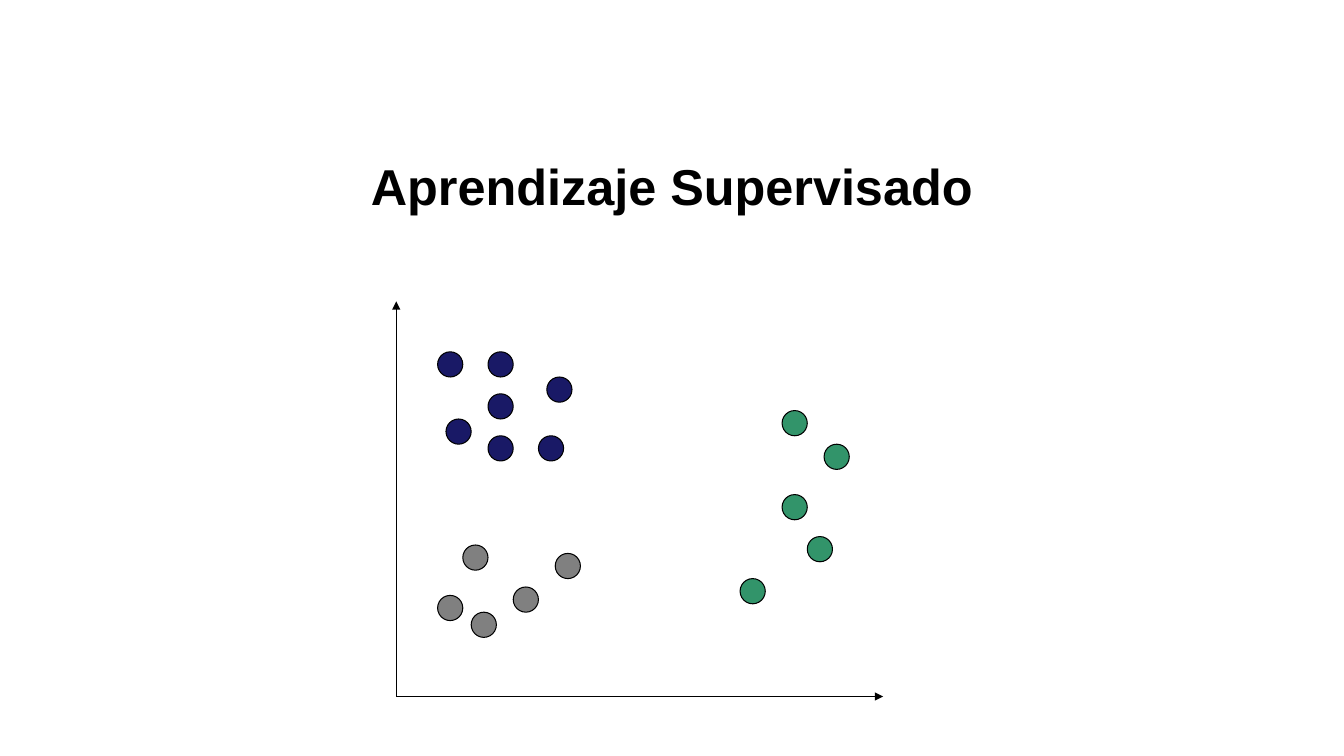
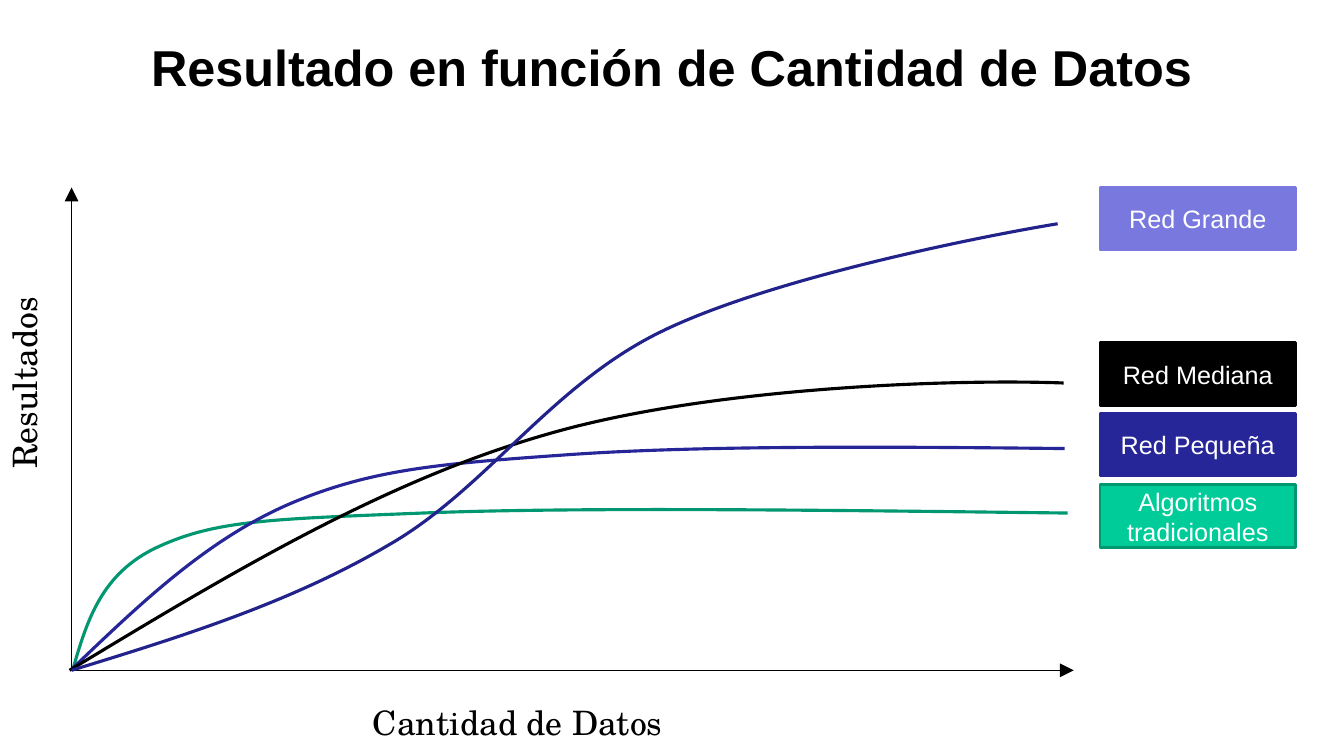
"""Builds two slides on supervised learning and on results by amount of data."""
from lxml.etree import SubElement
from pptx import Presentation
from pptx.dml.color import RGBColor
from pptx.enum.shapes import MSO_CONNECTOR as Connector, MSO_SHAPE as Shape
from pptx.enum.text import MSO_ANCHOR as Anchor, MSO_AUTO_SIZE as AutoSize, PP_ALIGN as Align
from pptx.oxml.ns import qn
from pptx.util import Inches, Pt

BLACK = RGBColor(0x00, 0x00, 0x00)
WHITE = RGBColor(0xFF, 0xFF, 0xFF)
GRAY = RGBColor(0x80, 0x80, 0x80)
GREEN = RGBColor(0x32, 0x94, 0x6A)
NAVY = RGBColor(0x19, 0x19, 0x66)
TEAL = RGBColor(0x00, 0x97, 0x71)
MINT = RGBColor(0x00, 0xCC, 0x99)
INDIGO = RGBColor(0x26, 0x26, 0x99)
DEEP_BLUE = RGBColor(0x22, 0x22, 0x8B)
LILAC = RGBColor(0x78, 0x78, 0xDE)

SANS, SERIF = "Arial", "TeX Gyre Schola"
WIDTH, HEIGHT = 13.33, 7.5
TITLE_HEIGHT = 1.33
BAND_OPACITY = 30

DOT_SIZE, DOT_STEP = 0.25, 1 / 12
DOT_LEFT, DOT_TOP = 4.34, 3.49
CLUSTERS = [
    (GRAY, [(0, 29), (9, 28), (3, 23), (4, 31), (14, 24)]),
    (GREEN, [(36, 27), (44, 22), (41, 17), (46, 11), (41, 7)]),
    (NAVY, [(6, 5), (0, 0), (1, 8), (13, 3), (6, 10), (12, 10), (6, 0)]),
]

LABEL_LEFT, LABEL_WIDTH, LABEL_HEIGHT = 10.91, 1.94, 0.62
SERIES = [
    ("Algoritmos tradicionales", 4.81, MINT, TEAL, TEAL,
     [(0.72, 6.65), (0.86, 6.17), (1, 5.68), (1.58, 5.42), (2.15, 5.16), (2.69, 5.15),
      (4.19, 5.09), (5.69, 5.03), (8.14, 5.06), (10.59, 5.09)]),
    ("Red Pequeña", 4.1, INDIGO, INDIGO, INDIGO,
     [(0.71, 6.64), (1.38, 6), (2.04, 5.36), (2.87, 5), (3.69, 4.65), (4.37, 4.6),
      (5.65, 4.51), (6.93, 4.42), (8.75, 4.43), (10.56, 4.45)]),
    ("Red Mediana", 3.4, BLACK, BLACK, BLACK,
     [(0.69, 6.65), (2.23, 5.72), (3.78, 4.78), (5.42, 4.31), (7.06, 3.83), (9.52, 3.76),
      (10.55, 3.8)]),
    ("Red Grande", 1.86, LILAC, LILAC, DEEP_BLUE,
     [(0.71, 6.65), (1.79, 6.32), (2.88, 5.98), (3.85, 5.41), (4.83, 4.85), (5.47, 3.81),
      (6.58, 3.28), (7.68, 2.75), (9.76, 2.34), (10.49, 2.22)]),
]
AXIS_LABELS = [
    ("Cantidad de Datos", 3.6, 6.91, 3.1, 0),
    ("Resultados", -0.72, 3.54, 1.92, 270),
]


def box(left, top, width, height):
    return [Inches(value) for value in (left, top, width, height)]


def add_run(paragraph, text, font_name, size, color, bold=False):
    run = paragraph.add_run()
    run.text = text
    font = run.font
    font.name, font.size, font.bold = font_name, Pt(size), bold
    font.color.rgb = color


def fill_band(shape):
    shape.fill.solid()
    shape.fill.fore_color.rgb = WHITE
    color = shape._element.spPr.find(qn("a:solidFill"))[0]
    SubElement(color, qn("a:alpha"), val=str(BAND_OPACITY * 1000))
    shape.line.fill.background()


def add_titled_slide(presentation, text, title_top, body_top):
    slide = presentation.slides.add_slide(presentation.slide_layouts[5])
    title = slide.shapes.title
    title.left, title.top, title.width, title.height = box(0, title_top, WIDTH, TITLE_HEIGHT)
    fill_band(title)
    frame = title.text_frame
    frame.auto_size, frame.vertical_anchor = AutoSize.NONE, Anchor.MIDDLE
    paragraph = frame.paragraphs[0]
    paragraph.alignment, paragraph.line_spacing = Align.CENTER, 0.93
    add_run(paragraph, text, SANS, 36, BLACK, bold=True)
    body = slide.shapes.add_shape(Shape.RECTANGLE, *box(0, body_top, WIDTH, HEIGHT - body_top))
    body.shadow.inherit = False
    fill_band(body)
    return slide


def add_axes(shapes, left, bottom, right, top, head_size):
    for end_x, end_y in ((left, top), (right, bottom)):
        axis = shapes.add_connector(Connector.STRAIGHT, *box(left, bottom, end_x, end_y))
        axis.line.color.rgb, axis.line.width = BLACK, Pt(0.75)
        SubElement(axis.line._get_or_add_ln(), qn("a:tailEnd"),
                   type="triangle", w=head_size, len=head_size)
        SubElement(axis._element.spPr, qn("a:effectLst"))


def add_filled(shapes, kind, place, fill, line, line_width):
    shape = shapes.add_shape(kind, *box(*place))
    shape.shadow.inherit = False
    shape.fill.solid()
    shape.fill.fore_color.rgb = fill
    shape.line.color.rgb, shape.line.width = line, Pt(line_width)
    return shape


def add_curve(shapes, controls, color):
    points = [(Inches(x), Inches(y)) for x, y in controls]
    builder = shapes.build_freeform(*points[0])
    builder.add_line_segments(points[1:], close=False)
    curve = builder.convert_to_shape()
    outline = next(curve._element.iter(qn("a:path")))
    segments = outline.findall(qn("a:lnTo"))
    for first in range(0, len(segments), 3):
        bezier = SubElement(outline, qn("a:cubicBezTo"))
        for segment in segments[first:first + 3]:
            bezier.append(segment[0])
            outline.remove(segment)
    curve.shadow.inherit = False
    curve.fill.background()
    curve.line.color.rgb, curve.line.width = color, Pt(2.25)


def add_series_label(shapes, text, top, fill, line):
    place = (LABEL_LEFT, top, LABEL_WIDTH, LABEL_HEIGHT)
    label = add_filled(shapes, Shape.RECTANGLE, place, fill, line, 2)
    label.text_frame.vertical_anchor = Anchor.MIDDLE
    label.text_frame.word_wrap = True
    paragraph = label.text_frame.paragraphs[0]
    paragraph.alignment = Align.CENTER
    add_run(paragraph, text, SANS, 18, WHITE)


def add_axis_label(shapes, text, left, top, width, rotation):
    label = shapes.add_textbox(*box(left, top, width, 0.5))
    label.rotation = rotation
    label.text_frame.word_wrap = False
    label.text_frame.auto_size = AutoSize.SHAPE_TO_FIT_TEXT
    add_run(label.text_frame.paragraphs[0], text, SERIF, 24, BLACK)


def build_clusters_slide(presentation):
    slide = add_titled_slide(presentation, "Aprendizaje Supervisado", 1.21, 2.5)
    plot = slide.shapes.add_group_shape().shapes
    add_axes(plot, 3.93, 6.91, 8.76, 2.99, "med")
    for color, cells in CLUSTERS:
        for column, row in cells:
            place = (DOT_LEFT + column * DOT_STEP, DOT_TOP + row * DOT_STEP, DOT_SIZE, DOT_SIZE)
            add_filled(plot, Shape.OVAL, place, color, BLACK, 0.75)


def build_results_slide(presentation):
    slide = add_titled_slide(
        presentation, "Resultado en función de Cantidad de Datos", 0.03, 1.36)
    add_axes(slide.shapes, 0.71, 6.65, 10.65, 1.86, "lg")
    horizontal_label, vertical_label = AXIS_LABELS
    add_axis_label(slide.shapes, *horizontal_label)
    for text, top, fill, line, curve_color, controls in SERIES:
        series = slide.shapes.add_group_shape().shapes
        add_curve(series, controls, curve_color)
        add_series_label(series, text, top, fill, line)
    add_axis_label(slide.shapes, *vertical_label)


def main():
    presentation = Presentation()
    presentation.slide_width, presentation.slide_height = Inches(WIDTH), Inches(HEIGHT)
    build_clusters_slide(presentation)
    build_results_slide(presentation)
    presentation.save("out.pptx")


if __name__ == "__main__":
    main()
